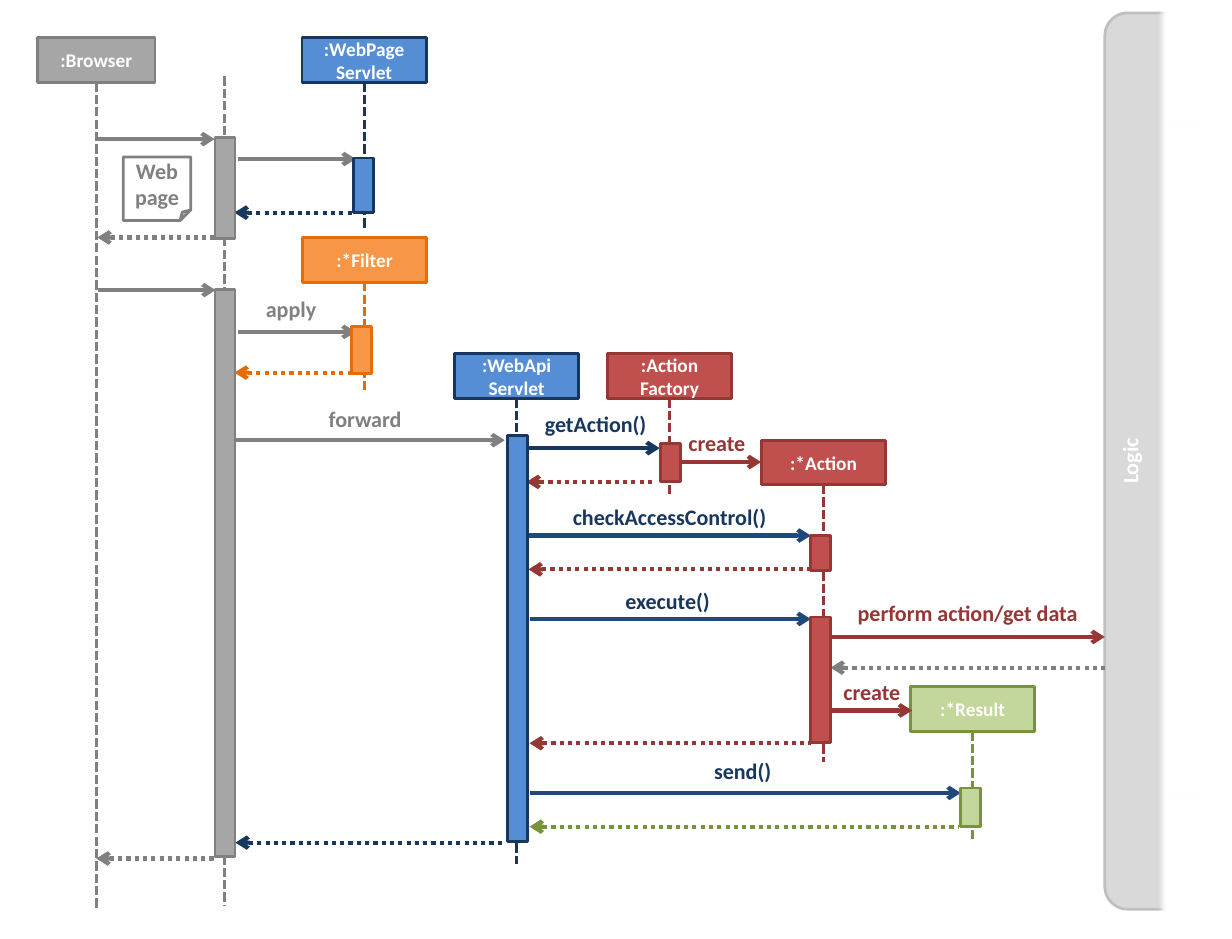
from dataclasses import dataclass

from lxml import etree
from pptx import Presentation
from pptx import util as u
from pptx.dml.color import RGBColor
from pptx.enum import dml, shapes, text
from pptx.oxml.ns import qn

# The slide is a grid of 124 columns by 94.5 rows; every length counts cells.
CELL = u.Inches(0.1)
COLUMNS, ROWS = 124, 94.5
HEAD_HEIGHT, BAR_WIDTH, LABEL_HEIGHT = 4.5, 2, 3.7

WHITE, GREY, SILVER = "FFFFFF", "808080", "A6A6A6"
BLUE, NAVY, CALL_BLUE = "558ED5", "17375E", "1F497D"
RED, DARK_RED = "C0504D", "953735"
ORANGE, DARK_ORANGE = "F79646", "E46C0A"
GREEN, DARK_GREEN = "C3D69B", "77933C"


@dataclass
class Participant:
    """A lifeline with its activation bars, each a (top, height) pair."""
    name: str
    x: float
    top: float
    end: float
    fill: str
    line: str
    bar_left: float = 0
    bars: tuple[tuple[float, float], ...] = ()
    width: float = 12.5

    @property
    def life_top(self) -> float:
        return self.top + (HEAD_HEIGHT if self.name else 0)


@dataclass
class Message:
    """A call runs left to right; a reply is dotted and points left."""
    left: float
    right: float
    y: float
    colour: str
    reply: bool = False


@dataclass
class Label:
    words: str
    left: float
    top: float
    width: float
    colour: str


PARTICIPANTS = [
    Participant(":Browser", 9.7, 3.8, 91.4, SILVER, GREY, width=11.8),
    Participant("", 22.6, 7.7, 91.2, SILVER, GREY, 21.65, ((13.8, 10.2), (29.1, 57.1))),
    Participant(":WebPage\vServlet", 36.65, 3.8, 22.9, BLUE, NAVY, 35.6, ((15.9, 5.5),)),
    Participant(":*Filter", 36.7, 23.9, 39.4, ORANGE, DARK_ORANGE, 35.4, ((32.9, 4.7),)),
    Participant(":WebApi\vServlet", 52, 35.6, 87, BLUE, NAVY, 51.1, ((43.8, 40.9),)),
    Participant(":Action\vFactory", 67.4, 35.6, 50, RED, DARK_RED, 66.5, ((44.6, 3.9),)),
    Participant(":*Action", 82.9, 44.3, 76.7, RED, DARK_RED, 81.6, ((53.9, 3.5), (62.1, 12.6))),
    Participant(":*Result", 97.9, 69.1, 84.7, GREEN, DARK_GREEN, 96.7, ((79.3, 3.9),)),
]

MESSAGES = [
    Message(9.8, 21.6, 14, GREY),
    Message(24, 35.8, 16, GREY),
    Message(23.6, 35.4, 21.4, NAVY, True),
    Message(9.8, 21.6, 23.9, GREY, True),
    Message(9.9, 21.7, 29.2, GREY),
    Message(24, 35.8, 33.4, GREY),
    Message(23.6, 35.4, 37.5, DARK_ORANGE, True),
    Message(23.7, 50.8, 44.3, GREY),
    Message(53, 66.4, 45.1, NAVY),
    Message(68.4, 76.6, 46.5, DARK_RED),
    Message(53, 66, 48.5, DARK_RED, True),
    Message(53.2, 81.6, 53.9, CALL_BLUE),
    Message(53.2, 81.5, 57.3, DARK_RED, True),
    Message(53.3, 81.6, 62.3, CALL_BLUE),
    Message(83.6, 111.2, 64.1, DARK_RED),
    Message(83.6, 111.2, 67.2, GREY, True),
    Message(83.6, 91.8, 71.5, DARK_RED),
    Message(53.3, 81.6, 74.8, DARK_RED, True),
    Message(53.3, 96.7, 79.8, CALL_BLUE),
    Message(53.3, 96.5, 83.2, DARK_GREEN, True),
    Message(23.7, 50.8, 84.8, NAVY, True),
    Message(9.7, 21.5, 86.4, GREY, True),
]

LABELS = [
    Label("apply", 25.3, 29.2, 8, GREY),
    Label("forward", 31.8, 40.3, 9.9, GREY),
    Label("getAction()", 53.2, 40.8, 13.5, NAVY),
    Label("create", 67.9, 42.7, 8.5, DARK_RED),
    Label("checkAccessControl()", 53.2, 50.2, 28.4, NAVY),
    Label("execute()", 53.3, 58.6, 27.8, NAVY),
    Label("perform action/get data", 83.9, 59.8, 27, DARK_RED),
    Label("create", 83.5, 67.8, 8.5, DARK_RED),
    Label("send()", 53, 75.7, 43.5, NAVY),
]


def cells(*counts: float) -> list[u.Emu]:
    return [u.Emu(round(count * CELL)) for count in counts]


def rgb(colour: str) -> RGBColor:
    return RGBColor.from_string(colour)


def write(sp, words: str, size: int, colour: str, anchor=text.MSO_ANCHOR.MIDDLE) -> None:
    tf = sp.text_frame
    tf.word_wrap = True
    tf.vertical_anchor = anchor
    p = tf.paragraphs[0]
    p.text = words
    p.alignment = text.PP_ALIGN.CENTER
    for r in p.runs:
        r.font.name, r.font.size, r.font.bold = "Calibri", u.Pt(size), True
        r.font.color.rgb = rgb(colour)


def add_box(s, kind, place: tuple[float, ...], fill: str, line: str = ""):
    sp = s.shapes.add_shape(kind, *cells(*place))
    sp.shadow.inherit = False
    sp.fill.solid()
    sp.fill.fore_color.rgb = rgb(fill)
    if line:
        sp.line.color.rgb = rgb(line)
        sp.line.width = u.Pt(2)
    else:
        sp.line.fill.background()
    return sp


def add_line(s, start: tuple[float, float], end: tuple[float, float], colour: str,
             width: float, dash=None, arrow: str = "") -> None:
    """Draw a line; arrow is "headEnd", "tailEnd" or empty."""
    line = s.shapes.add_connector(shapes.MSO_CONNECTOR.STRAIGHT, *cells(*start, *end))
    line.line.color.rgb = rgb(colour)
    line.line.width = u.Pt(width)
    if dash is not None:
        line.line.dash_style = dash
    if arrow:
        etree.SubElement(line.line._get_or_add_ln(), qn(f"a:{arrow}"), type="arrow")
    etree.SubElement(line._element.spPr, qn("a:effectLst"))


def add_logic_panel(s) -> None:
    """Draw the Logic panel, its right side faded out by a soft white cover."""
    panel = add_box(s, shapes.MSO_SHAPE.ROUNDED_RECTANGLE, (111.2, 1.3, 10, 90.2),
                    "D9D9D9", "BFBFBF")
    panel.adjustments[0] = 0.23
    write(panel, "Logic", 16, WHITE, text.MSO_ANCHOR.TOP)
    panel.text_frame._txBody.bodyPr.set("vert", "vert270")
    cover = add_box(s, shapes.MSO_SHAPE.RECTANGLE, (116.2, -0.4, 6.7, 93.5), WHITE)
    effects = cover._element.spPr.find(qn("a:effectLst"))
    etree.SubElement(effects, qn("a:softEdge"), rad=str(u.Pt(5)))


def add_message(s, message: Message) -> None:
    dash = dml.MSO_LINE.ROUND_DOT if message.reply else None
    add_line(s, (message.left, message.y), (message.right, message.y), message.colour, 3,
             dash, "headEnd" if message.reply else "tailEnd")


def add_participant(s, who: Participant) -> None:
    add_line(s, (who.x, who.life_top), (who.x, who.end), who.line, 2.25,
             dml.MSO_LINE.SQUARE_DOT)
    if who.name:
        place = (who.x - who.width / 2, who.top, who.width, HEAD_HEIGHT)
        head = add_box(s, shapes.MSO_SHAPE.RECTANGLE, place, who.fill, who.line)
        write(head, who.name, 14, WHITE)


def set_dash_names(s) -> None:
    """Use the short system dash for lifelines and system dots for replies."""
    names = {"sysDot": "sysDash", "sysDash": "sysDot"}
    for dash in s.shapes._spTree.iter(qn("a:prstDash")):
        is_reply = dash.getparent().find(qn("a:headEnd")) is not None
        dash.set("val", names["sysDash"] if is_reply else names["sysDot"])


def main() -> None:
    prs = Presentation()
    prs.slide_width, prs.slide_height = cells(COLUMNS, ROWS)
    s = prs.slides.add_slide(prs.slide_layouts[6])
    add_logic_panel(s)
    for who in PARTICIPANTS:
        add_participant(s, who)
    for message in MESSAGES:
        add_message(s, message)
    for who in PARTICIPANTS:
        for top, height in who.bars:
            add_box(s, shapes.MSO_SHAPE.RECTANGLE, (who.bar_left, top, BAR_WIDTH, height),
                    who.fill, who.line)
    note = add_box(s, shapes.MSO_SHAPE.FOLDED_CORNER, (12.4, 15.8, 6.8, 6.4), WHITE, GREY)
    write(note, "Web page", 16, GREY)
    for label in LABELS:
        sp = s.shapes.add_textbox(*cells(label.left, label.top, label.width, LABEL_HEIGHT))
        write(sp, label.words, 16, label.colour, text.MSO_ANCHOR.TOP)
    set_dash_names(s)
    prs.save("out.pptx")


if __name__ == "__main__":
    main()
